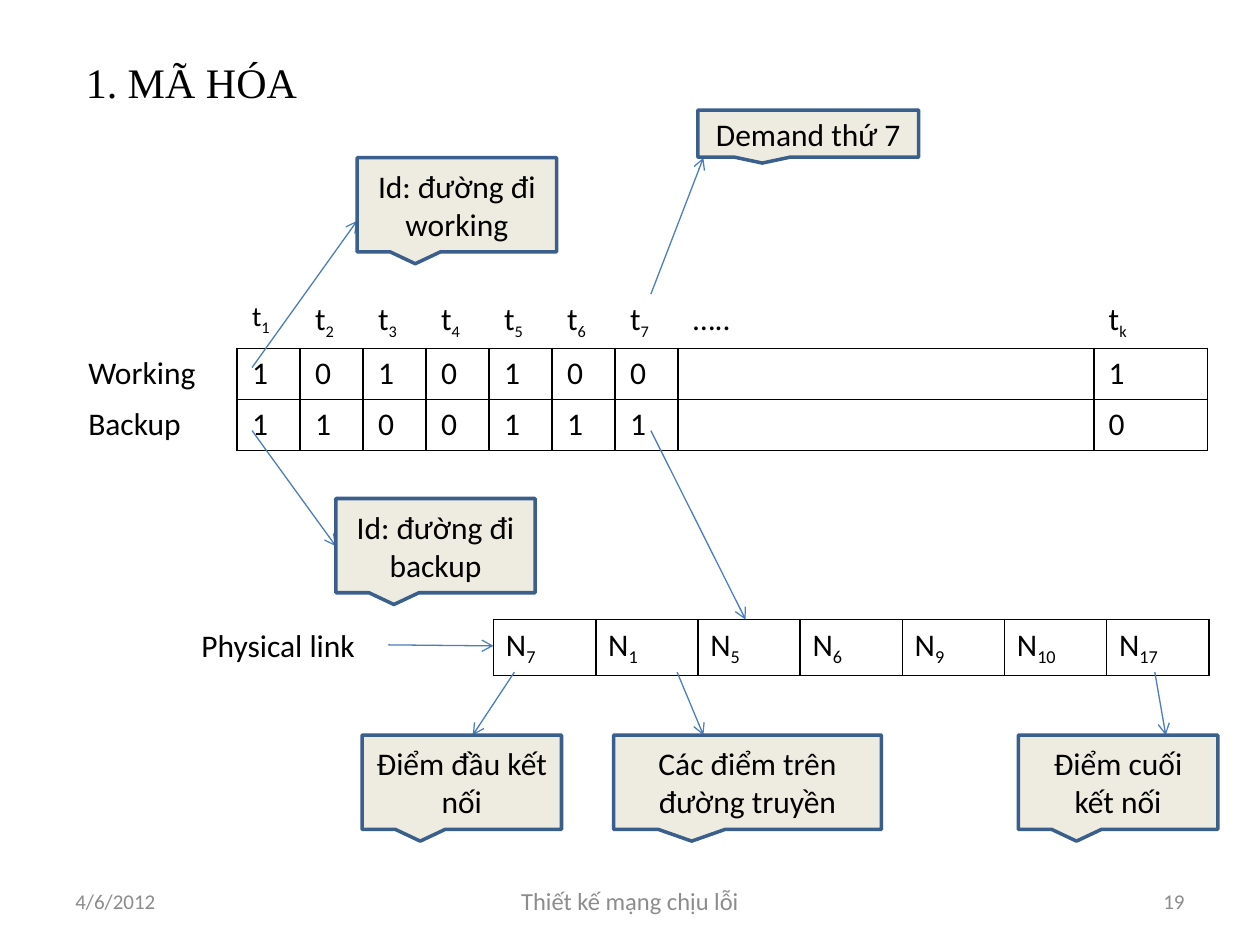
from lxml import etree
from pptx import Presentation
from pptx import util as u
from pptx.dml import color
from pptx.enum import shapes, text
from pptx.oxml import ns

Cm, Pt = u.Cm, u.Pt
LEFT, CENTER, RIGHT = text.PP_ALIGN.LEFT, text.PP_ALIGN.CENTER, text.PP_ALIGN.RIGHT


def rgb(value):
    return color.RGBColor.from_string(value)


def write(tf, content, size=18, sub=16, font="Calibri", fill="000000",
          align=LEFT, anchor=text.MSO_ANCHOR.MIDDLE):
    """Write one paragraph; what follows an underscore is a subscript."""
    tf.word_wrap = True
    tf.vertical_anchor = anchor
    p = tf.paragraphs[0]
    p.alignment = align
    for i, part in enumerate(content.split("_")):
        r = p.add_run()
        r.text = part
        r.font.name = font
        r.font.size = Pt(sub if i else size)
        r.font.color.rgb = rgb(fill)
        if i:
            r.font._element.set("baseline", "-25000")


prs = Presentation()
prs.slide_width, prs.slide_height = Cm(25.4), Cm(19.05)
s = prs.slides.add_slide(prs.slide_layouts[6])

# Title, link label and footer
GREY = "8C8C8C"
for content, x, y, w, h, fmt in [
    ("1. MÃ HÓA", 1.48, 0.76, 22.65, 1.78, dict(size=24, font="Times New Roman")),
    ("Physical link", 3.81, 12.5, 4.02, 1.03, dict(anchor=text.MSO_ANCHOR.TOP)),
    ("4/6/2012", 1.27, 17.65, 5.93, 1.02, dict(size=12, fill=GREY)),
    ("Thiết kế mạng chịu lỗi", 8.68, 17.65, 8.04, 1.02,
     dict(size=14, fill=GREY, align=CENTER)),
    ("19", 18.2, 17.65, 5.93, 1.02, dict(size=12, fill=GREY, align=RIGHT)),
]:
    write(s.shapes.add_textbox(Cm(x), Cm(y), Cm(w), Cm(h)).text_frame, content, **fmt)

# Tables: chromosome with headings outside its grid, and physical link
chromosome = [
    ["", "t_1", "t_2", "t_3", "t_4", "t_5", "t_6", "t_7", "…..", "t_k"],
    ["Working", *"1010100", "", "1"],
    ["Backup", *"1100111", "", "0"],
]
link = [["N_7", "N_1", "N_5", "N_6", "N_9", "N_10", "N_17"]]
for rows, x, y, widths, heights, margin, sub, heading in [
    (chromosome, 1.48, 5.92, [3.3] + [1.27] * 7 + [8.38, 2.29], [1.09, 1.03, 1.03], 0.3, 16, 1),
    (link, 9.95, 12.49, [2.06] * 7, [1.11], 0.25, 18, 0),
]:
    tbl = s.shapes.add_table(len(rows), len(widths), Cm(x), Cm(y),
                             Cm(sum(widths)), Cm(sum(heights))).table
    tbl.first_row = tbl.horz_banding = False
    for col, w in zip(tbl.columns, widths):
        col.width = Cm(w)
    for row, h in zip(tbl.rows, heights):
        row.height = Cm(h)
    for i, row in enumerate(rows):
        for j, content in enumerate(row):
            cell = tbl.cell(i, j)
            cell.margin_left = cell.margin_right = Cm(margin)
            cell.margin_top = cell.margin_bottom = Cm(0.13)
            if content:
                write(cell.text_frame, content, size=16 if content == "t_1" else 18,
                      sub=sub, anchor=text.MSO_ANCHOR.TOP)
            # Borders: a heading cell only has the side that meets the grid
            in_row, in_col = i >= heading, j >= heading
            tcPr = cell._tc.get_or_add_tcPr()
            for side in "LRTB":
                shown = (in_row and in_col
                         or side == "B" and in_col and i == heading - 1
                         or side == "R" and in_row and j == heading - 1)
                ln = etree.SubElement(tcPr, ns.qn(f"a:ln{side}"), w=str(Pt(1)))
                if shown:
                    solid = etree.SubElement(ln, ns.qn("a:solidFill"))
                    etree.SubElement(solid, ns.qn("a:srgbClr"), val="000000")
                else:
                    etree.SubElement(ln, ns.qn("a:noFill"))
            cell.fill.background()

# Arrows
for x1, y1, x2, y2 in [
    (5.08, 7.41, 7.2, 4.45),
    (5.08, 8.68, 6.77, 11.01),
    (13.12, 5.93, 14.18, 3.18),
    (13.12, 8.68, 15.03, 12.49),
    (7.83, 13, 9.95, 13.02),
    (10.37, 13.55, 9.53, 14.82),
    (13.65, 13.55, 14.18, 14.82),
    (23.28, 13.55, 23.5, 14.82),
]:
    line = s.shapes.add_connector(shapes.MSO_CONNECTOR.STRAIGHT,
                                  Cm(x1), Cm(y1), Cm(x2), Cm(y2))
    line.line.color.rgb = rgb("4B7EBC")
    line.line.width = Pt(0.75)
    etree.SubElement(line.line._get_or_add_ln(), ns.qn("a:tailEnd"), type="arrow")
    etree.SubElement(line._element.spPr, ns.qn("a:effectLst"))

# Callouts
for content, x, y, w, h in [
    ("Id: đường đi working", 7.2, 3.18, 4.02, 1.9),
    ("Id: đường đi backup", 6.77, 10.05, 4.02, 1.9),
    ("Demand thứ 7", 14.07, 2.22, 4.45, 0.95),
    ("Điểm đầu kết nối", 7.3, 14.82, 4.02, 1.9),
    ("Các điểm trên đường truyền", 12.37, 14.82, 5.4, 1.9),
    ("Điểm cuối kết nối", 20.53, 14.82, 4.02, 1.9),
]:
    sp = s.shapes.add_shape(shapes.MSO_SHAPE.RECTANGULAR_CALLOUT,
                            Cm(x), Cm(y), Cm(w), Cm(h))
    sp.shadow.inherit = False
    sp.fill.solid()
    sp.fill.fore_color.rgb = rgb("EEECE1")
    sp.line.color.rgb = rgb("3A5F8C")
    sp.line.width = Pt(2)
    write(sp.text_frame, content, align=CENTER)

prs.save("out.pptx")
